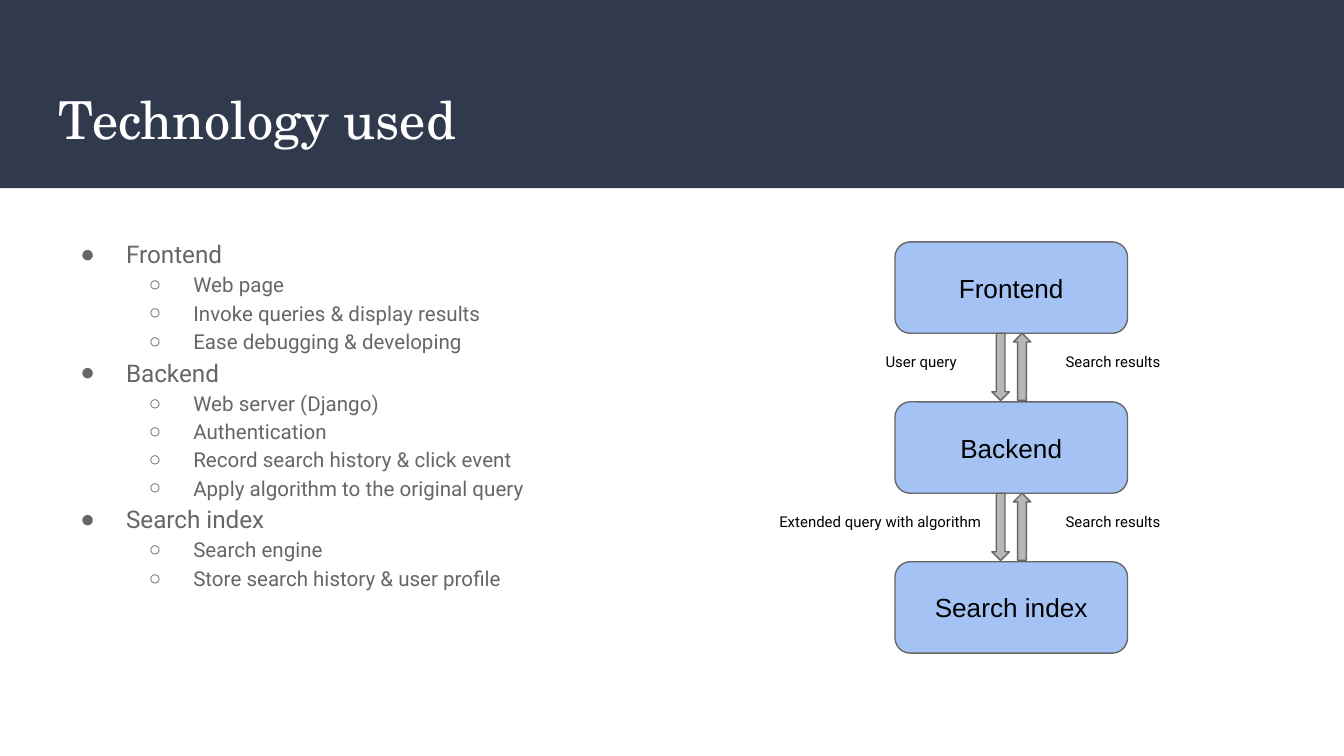
from dataclasses import dataclass

from lxml import etree
from pptx import Presentation
from pptx.dml.color import RGBColor
from pptx.enum import shapes, text
from pptx.oxml.ns import qn
from pptx.util import Inches, Pt


@dataclass(frozen=True)
class Theme:
    band: str = "31394D"
    white: str = "FFFFFF"
    black: str = "000000"
    gray: str = "666666"
    box: str = "A4C2F4"
    arrow: str = "B7B7B7"
    title_font: str = "TeX Gyre Schola"
    body_font: str = "Roboto"
    box_font: str = "Arial"
    bullet_font: str = "Arial"
    title_size: float = 28
    box_size: float = 14
    topic_size: float = 13
    detail_size: float = 11
    label_size: float = 8
    line_width: float = 0.75


class SlideBuilder:
    def __init__(self, slide, theme):
        self.slide = slide
        self.theme = theme

    def style(self, paragraph, font, size, color):
        paragraph.font.name = font
        paragraph.font.size = Pt(size)
        paragraph.font.color.rgb = RGBColor.from_string(color)

    def set_insets(self, frame):
        frame.margin_left = frame.margin_right = Inches(0.1)
        frame.margin_top = frame.margin_bottom = Inches(0.1)
        frame.word_wrap = True

    def shape(self, kind, left, top, width, height, fill, outlined=True):
        shape = self.slide.shapes.add_shape(
            kind, Inches(left), Inches(top), Inches(width), Inches(height))
        shape.shadow.inherit = False
        shape.fill.solid()
        shape.fill.fore_color.rgb = RGBColor.from_string(fill)
        if outlined:
            shape.line.color.rgb = RGBColor.from_string(self.theme.gray)
            shape.line.width = Pt(self.theme.line_width)
        else:
            shape.line.fill.background()
        return shape

    def text_box(self, left, top, width, height):
        box = self.slide.shapes.add_textbox(
            Inches(left), Inches(top), Inches(width), Inches(height))
        self.set_insets(box.text_frame)
        return box.text_frame

    def text(self, words, left, top, width, height, font, size, color):
        paragraph = self.text_box(left, top, width, height).paragraphs[0]
        paragraph.text = words
        self.style(paragraph, font, size, color)

    def label(self, words, left, top, width):
        self.text(words, left, top, width, 0.34, self.theme.body_font,
                  self.theme.label_size, self.theme.black)

    def box(self, words, left, top, width, height):
        shape = self.shape(shapes.MSO_SHAPE.ROUNDED_RECTANGLE,
                           left, top, width, height, self.theme.box)
        frame = shape.text_frame
        self.set_insets(frame)
        frame.vertical_anchor = text.MSO_ANCHOR.MIDDLE
        paragraph = frame.paragraphs[0]
        paragraph.text = words
        paragraph.alignment = text.PP_ALIGN.CENTER
        self.style(paragraph, self.theme.box_font, self.theme.box_size, self.theme.black)

    def arrow(self, left, top, width, height, rotation=0):
        arrow = self.shape(shapes.MSO_SHAPE.UP_ARROW,
                           left, top, width, height, self.theme.arrow)
        arrow.rotation = rotation

    def bullet(self, paragraph, mark, left, hanging):
        properties = paragraph._p.get_or_add_pPr()
        properties.set("marL", str(Inches(left)))
        properties.set("indent", str(-Inches(hanging)))
        color = etree.Element(qn("a:buClr"))
        etree.SubElement(color, qn("a:srgbClr"), val=self.theme.gray)
        font = etree.Element(qn("a:buFont"), typeface=self.theme.bullet_font)
        character = etree.Element(qn("a:buChar"), char=mark)
        # Bullet settings come after line spacing and before the font
        position = 1 if properties.find(qn("a:lnSpc")) is not None else 0
        for offset, element in enumerate((color, font, character)):
            properties.insert(position + offset, element)

    def outline(self, topics, left, top, width, height):
        frame = self.text_box(left, top, width, height)
        theme = self.theme
        rows = []
        for topic, details in topics.items():
            rows.append((topic, 0))
            rows.extend((detail, 1) for detail in details)
        for index, (words, level) in enumerate(rows):
            paragraph = frame.add_paragraph() if index else frame.paragraphs[0]
            paragraph.text = words
            paragraph.level = level
            paragraph.line_spacing = 1.15
            size = theme.detail_size if level else theme.topic_size
            self.style(paragraph, theme.body_font, size, theme.gray)
            if level:
                self.bullet(paragraph, "○", 1, 0.33)
            else:
                self.bullet(paragraph, "●", 0.5, 0.34)


TOPICS = {
    "Frontend": ["Web page", "Invoke queries & display results",
                 "Ease debugging & developing"],
    "Backend": ["Web server (Django)", "Authentication",
                "Record search history & click event",
                "Apply algorithm to the original query"],
    "Search index": ["Search engine", "Store search history & user profile"],
}

# Label going down between two tiers: words, left, width
REQUESTS = [("User query", 6.49, 0.95), ("Extended query with algorithm", 5.7, 1.73)]


def main():
    presentation = Presentation()
    # Widescreen, 16 by 9
    presentation.slide_width = Inches(10)
    presentation.slide_height = Inches(10 * 9 / 16)
    slide = presentation.slides.add_slide(presentation.slide_layouts[6])
    theme = Theme()
    builder = SlideBuilder(slide, theme)

    # Header band and title
    builder.shape(shapes.MSO_SHAPE.RECTANGLE, 0, 0, 10, 1.4, theme.band, outlined=False)
    builder.text("Technology used", 0.34, 0.55, 9.32, 0.68,
                 theme.title_font, theme.title_size, theme.white)

    # Outline of the tiers
    builder.outline(TOPICS, 0.34, 1.65, 4.37, 3.36)

    # Tier boxes, evenly stacked
    first_top, pitch, box_height = 1.8, 1.19, 0.68
    for index, tier in enumerate(TOPICS):
        builder.box(tier, 6.66, first_top + index * pitch, 1.73, box_height)

    # Arrows and labels in the gaps between tiers
    for index, (request, left, width) in enumerate(REQUESTS):
        gap_top = first_top + index * pitch + box_height
        builder.arrow(7.54, gap_top, 0.13, 0.5)
        builder.arrow(7.38, gap_top, 0.13, 0.5, rotation=180)
        builder.label(request, left, gap_top + 0.08, width)
        builder.label("Search results", 7.83, gap_top + 0.08, 0.95)

    presentation.save("out.pptx")


if __name__ == "__main__":
    main()
